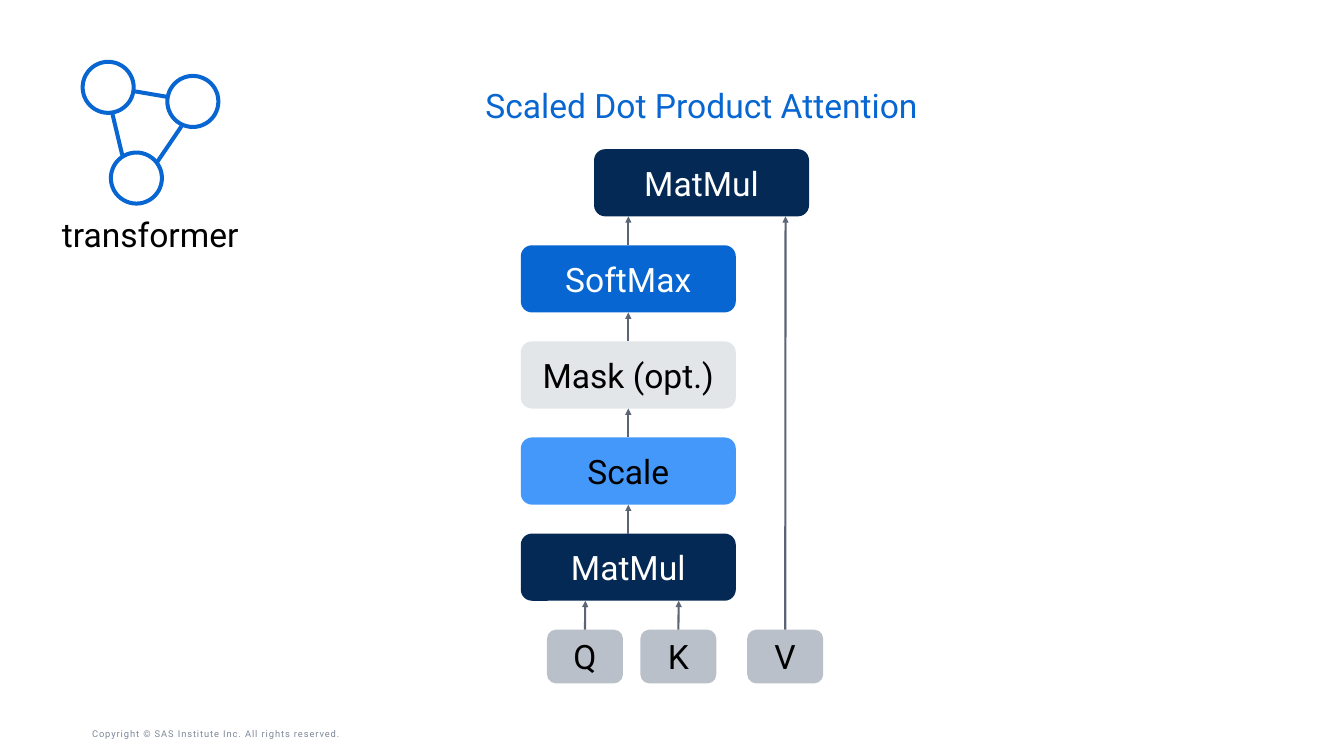
from lxml import etree
from pptx import Presentation
from pptx import util as u
from pptx.dml.color import RGBColor
from pptx.enum import shapes, text
from pptx.oxml.ns import qn

PX = 9144  # EMU per px, 100 px to the inch
FONT = "Roboto"

BLACK = RGBColor(0x00, 0x00, 0x00)
WHITE = RGBColor(0xFF, 0xFF, 0xFF)
NAVY = RGBColor(0x03, 0x29, 0x54)
BLUE = RGBColor(0x07, 0x66, 0xD1)
SKY = RGBColor(0x43, 0x98, 0xF9)
PALE = RGBColor(0xE3, 0xE6, 0xE9)
GRAY = RGBColor(0xBA, 0xC0, 0xC9)
SLATE = RGBColor(0x5C, 0x65, 0x76)
MUTED = RGBColor(0x7E, 0x88, 0x9A)

CENTER = text.PP_ALIGN.CENTER
TOP, MIDDLE, BOTTOM = (text.MSO_ANCHOR.TOP, text.MSO_ANCHOR.MIDDLE,
                       text.MSO_ANCHOR.BOTTOM)

# Layers from bottom to top: label, fill, text colour, left
LAYERS = [
    ("MatMul", NAVY, WHITE, 775),
    ("Scale", SKY, BLACK, 775),
    ("Mask (opt.)", PALE, BLACK, 775),
    ("SoftMax", BLUE, WHITE, 775),
    ("MatMul", NAVY, WHITE, 884),
]
BASE, STEP = 794, 143
WIDE, HIGH = 320, 100
INPUTS = [("Q", 814), ("K", 953), ("V", 1112)]

NODES = [(161, 130), (287, 151), (203, 265)]
LINKS = [(167, 168, 182, 231), (201, 136, 248, 144), (270, 188, 234, 241)]
RADIUS = 38


def px(*nums):
    return [u.Emu(n * PX) for n in nums]


def apply(item, **values):
    for name, value in values.items():
        setattr(item, name, value)


def write(shape, words, color, size=36, align=CENTER, anchor=TOP, pads=(0, 0, 0, 0)):
    """Fill a shape with one paragraph; pads are left, top, right, bottom."""
    frame = shape.text_frame
    left, top, right, bottom = px(*pads)
    apply(frame, word_wrap=True, auto_size=text.MSO_AUTO_SIZE.NONE,
          vertical_anchor=anchor, margin_left=left, margin_top=top,
          margin_right=right, margin_bottom=bottom)
    para = frame.paragraphs[0]
    para.alignment = align
    run = para.add_run()
    run.text = words
    apply(run.font, name=FONT, size=u.Pt(size), bold=False)
    run.font.color.rgb = color
    return para


def label(slide, box, words, color, **style):
    return write(slide.shapes.add_textbox(*px(*box)), words, color, **style)


def block(slide, box, words, fill, color, pads):
    shape = slide.shapes.add_shape(shapes.MSO_SHAPE.ROUNDED_RECTANGLE, *px(*box))
    shape.shadow.inherit = False
    shape.fill.solid()
    shape.fill.fore_color.rgb = fill
    shape.line.fill.background()
    write(shape, words, color, anchor=MIDDLE, pads=pads)
    return shape


def line(slide, ends, color, width):
    link = slide.shapes.add_connector(shapes.MSO_CONNECTOR.STRAIGHT, *px(*ends))
    link.line.color.rgb = color
    link.line.width = u.Pt(width)
    etree.SubElement(link._element.spPr, qn("a:effectLst"))
    return link


def arrow(slide, x, start, end, below, above=None):
    """Point up from the top of one block to the block above."""
    link = line(slide, (x, start, x, end), SLATE, 2.25)
    link.begin_connect(below, 0)
    if above is not None:
        link.end_connect(above, 2)
    tip = etree.SubElement(link.line._get_or_add_ln(), qn("a:tailEnd"))
    tip.set("type", "triangle")


def icon(slide):
    for ends in LINKS:
        line(slide, ends, BLUE, 4.3)
    for x, y in NODES:
        ring = slide.shapes.add_shape(
            shapes.MSO_SHAPE.OVAL,
            *px(x - RADIUS, y - RADIUS, 2 * RADIUS, 2 * RADIUS))
        ring.shadow.inherit = False
        ring.fill.solid()
        ring.fill.fore_color.rgb = WHITE
        ring.line.color.rgb = BLUE
        ring.line.width = u.Pt(4.3)


def heading(slide):
    title = slide.shapes.title
    left, top, width, height = px(697, 135, 694, 60)
    apply(title, left=left, top=top, width=width, height=height)
    para = write(title, "Scaled Dot Product Attention", BLUE)
    apply(para, line_spacing=0.85, space_before=u.Pt(0))


def diagram(slide):
    stack = []
    for i, (words, fill, color, left) in enumerate(LAYERS):
        box = (left, BASE - i * STEP, WIDE, HIGH)
        stack.append(block(slide, box, words, fill, color, (10, 5, 10, 5)))

    mid = LAYERS[0][3] + WIDE // 2
    last = len(stack) - 1
    for i in range(last):
        start = BASE - i * STEP
        above = stack[i + 1] if i + 1 < last else None
        arrow(slide, mid, start, start - STEP + HIGH, stack[i], above)

    foot = BASE + HIGH
    peak = BASE - last * STEP + HIGH
    for words, left in INPUTS:
        cell = block(slide, (left, 937, 113, 80), words, GRAY, BLACK, (19,) * 4)
        arrow(slide, left + 57, 937, peak if words == "V" else foot, cell)


def main():
    deck = Presentation()
    deck.slide_width, deck.slide_height = px(2000, 1125)
    slide = deck.slides.add_slide(deck.slide_layouts[5])

    para = label(slide, (137, 1078, 550, 27),
                 "Copyright © SAS Institute Inc. All rights reserved.", MUTED,
                 size=10, align=text.PP_ALIGN.LEFT, anchor=BOTTOM, pads=(0, 5, 10, 5))
    para.runs[0].font._element.set("spc", "100")
    icon(slide)
    label(slide, (83, 319, 281, 61), "transformer", BLACK)
    heading(slide)
    diagram(slide)
    deck.save("out.pptx")


if __name__ == "__main__":
    main()
